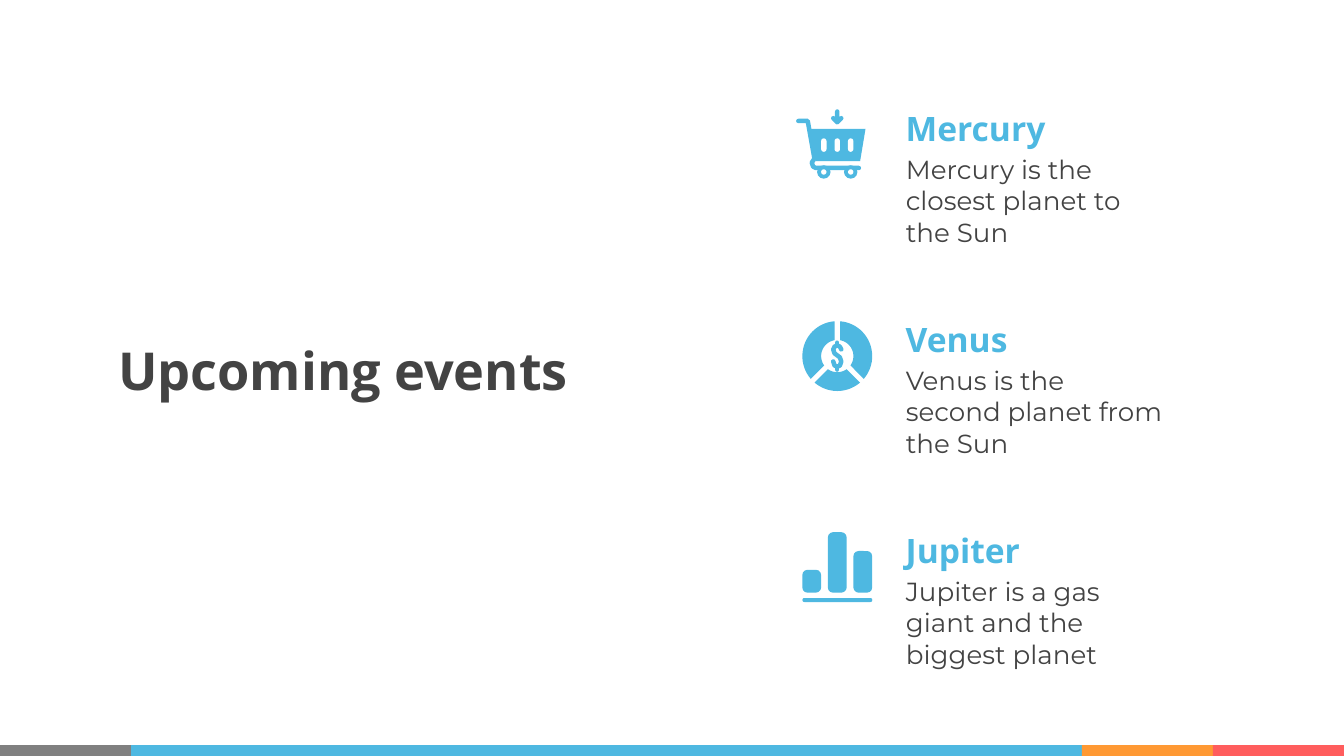
import math

import pptx
import pptx.dml.color
import pptx.enum.text
import pptx.enum.shapes
import pptx.oxml.ns
import pptx.util
from lxml import etree

INCH = pptx.util.Inches(1)
WIDTH = 10
HEIGHT = WIDTH * 9 / 16
BLUE, INK, WHITE = "4EB8E1", "434343", "FFFFFF"
SHAPE = pptx.enum.shapes.MSO_SHAPE

deck = pptx.Presentation()
deck.slide_width = int(WIDTH * INCH)
deck.slide_height = int(HEIGHT * INCH)
slide = deck.slides.add_slide(deck.slide_layouts[4])


def add_solid(kind, left, top, width, height, color, adjustment=None):
    shape = slide.shapes.add_shape(
        kind, *(int(length * INCH) for length in (left, top, width, height)))
    shape.shadow.inherit = False
    shape.fill.solid()
    shape.fill.fore_color.rgb = pptx.dml.color.RGBColor.from_string(color)
    shape.line.fill.background()
    if adjustment is not None:
        shape.adjustments[0] = adjustment


def add_outline(points, stroke=None):
    """Draw a filled polygon, or an open round-capped line when stroke is given in points."""
    corners = [(int(x * INCH), int(y * INCH)) for x, y in points]
    builder = slide.shapes.build_freeform(*corners[0])
    builder.add_line_segments(corners[1:], close=stroke is None)
    shape = builder.convert_to_shape()
    shape.shadow.inherit = False
    painted, empty = (shape.line.fill, shape.fill) if stroke else (shape.fill, shape.line.fill)
    empty.background()
    painted.solid()
    painted.fore_color.rgb = pptx.dml.color.RGBColor.from_string(BLUE)
    if stroke:
        shape.line.width = pptx.util.Pt(stroke)
        line_xml = shape.element.spPr.find(pptx.oxml.ns.qn("a:ln"))
        line_xml.set("cap", "rnd")
        etree.SubElement(line_xml, pptx.oxml.ns.qn("a:round"))


# Footer band, as shares of the slide's width
band_edges = (0, 0.0975, 0.805, 0.9025, 1)
band_colors = ("808080", BLUE, "FF9933", "FF5D5D")
for start, end, color in zip(band_edges, band_edges[1:], band_colors):
    add_solid(SHAPE.RECTANGLE, start * WIDTH, HEIGHT - 0.08,
              (end - start) * WIDTH, 0.08, color)

# Title and the three events
events = (
    ("Mercury", "Mercury is the closest planet to the Sun"),
    ("Venus", "Venus is the second planet from the Sun"),
    ("Jupiter", "Jupiter is a gas giant and the biggest planet"),
)
ROW_TOP, ROW_PITCH = 0.66, 1.57
TEXT_LEFT, TEXT_WIDTH = 6.64, 2.11
title, *bodies = slide.placeholders
spare = bodies.pop()
spare.element.getparent().remove(spare.element)

blocks = [(title, "Upcoming events", (0.78, 2.42, 4.22, 0.76), "Open Sans", 28, INK, True)]
for row, (body, (planet, description)) in enumerate(zip(bodies, events)):
    top = ROW_TOP + row * ROW_PITCH
    heading = slide.shapes.add_textbox(0, 0, INCH, INCH)
    blocks.append((heading, planet, (TEXT_LEFT, top, TEXT_WIDTH, 0.42),
                   "Open Sans", 18, BLUE, True))
    blocks.append((body, description, (TEXT_LEFT, top + 0.38, TEXT_WIDTH, 0.81),
                   "Montserrat", 14, INK, False))

for box, words, place, font_name, size, color, bold in blocks:
    box.left, box.top, box.width, box.height = (int(length * INCH) for length in place)
    frame = box.text_frame
    frame.text = words
    frame.word_wrap = True
    frame.auto_size = pptx.enum.text.MSO_AUTO_SIZE.NONE
    frame.vertical_anchor = pptx.enum.text.MSO_ANCHOR.TOP
    frame.margin_left = frame.margin_right = INCH // 10
    frame.margin_top = frame.margin_bottom = INCH // 10
    paragraph = frame.paragraphs[0]
    properties = paragraph._p.get_or_add_pPr()
    properties.set("marL", "0")
    properties.set("indent", "0")
    etree.SubElement(properties, pptx.oxml.ns.qn("a:buNone"))
    paragraph.alignment = pptx.enum.text.PP_ALIGN.LEFT
    paragraph.space_before = pptx.util.Pt(0)
    if box not in (title, *bodies):
        paragraph.line_spacing = 1.15
        paragraph.space_after = pptx.util.Pt(16)
    font = paragraph.runs[0].font
    font.name, font.size, font.bold = font_name, pptx.util.Pt(size), bold
    font.color.rgb = pptx.dml.color.RGBColor.from_string(color)

# Icons share one centre line
ICON_X = 6.23

# Shopping cart
STROKE = 2.4
add_outline([(6.2, 0.88), (ICON_X, 0.91), (ICON_X, 0.83), (ICON_X, 0.91), (6.26, 0.88)], STROKE)
add_outline([(6.03, 0.96), (6.44, 0.96), (6.4, 1.2), (6.07, 1.2)])
add_outline([(5.94, 0.9), (6.01, 0.9), (6.06, 1.18), (6.04, 1.21),
             (6.05, 1.24), (6.07, 1.25), (6.39, 1.25)], STROKE)
for slot in (-1, 0, 1):
    add_solid(SHAPE.ROUNDED_RECTANGLE, ICON_X + slot * 0.1 - 0.02, 1.03, 0.04, 0.1, WHITE, 0.5)
for side in (-1, 1):
    wheel_x = ICON_X + side * 0.1
    add_solid(SHAPE.OVAL, wheel_x - 0.05, 1.23, 0.1, 0.1, BLUE)
    add_solid(SHAPE.OVAL, wheel_x - 0.02, 1.26, 0.04, 0.04, WHITE)

# Ring in three parts around a dollar sign
RING_Y, OUTER, INNER, HALF_GAP = 2.65, 0.26, 0.12, 0.02
STEPS = 24
for start, end in ((90, 225), (225, 315), (315, 450)):
    rim = []
    for radius, order in ((OUTER, range(STEPS + 1)), (INNER, range(STEPS, -1, -1))):
        inset = math.degrees(math.asin(HALF_GAP / radius))
        for step in order:
            angle = math.radians(start + inset + (end - start - 2 * inset) * step / STEPS)
            rim.append((ICON_X + radius * math.cos(angle), RING_Y - radius * math.sin(angle)))
    add_outline(rim)
add_outline([(6.26, 2.6), (6.25, 2.58), (6.23, 2.57), (6.21, 2.58), (6.2, 2.6), (6.21, 2.63),
             (6.25, 2.66), (6.26, 2.69), (6.25, 2.72), (6.23, 2.73), (6.21, 2.72),
             (6.2, 2.69)], STROKE)
for end_y, joint_y in ((2.55, 2.57), (2.75, 2.73)):
    add_outline([(ICON_X, end_y), (ICON_X, joint_y)], STROKE)

# Bar chart icon
BAR_BASE, BAR_WIDTH = 4.41, 0.14
for column, bar_height in zip((-1, 0, 1), (0.17, 0.45, 0.31)):
    add_solid(SHAPE.ROUNDED_RECTANGLE, ICON_X + column * 0.19 - BAR_WIDTH / 2,
              BAR_BASE - bar_height, BAR_WIDTH, bar_height, BLUE, 0.28)
add_solid(SHAPE.ROUNDED_RECTANGLE, ICON_X - 0.26, 4.45, 0.52, 0.03, BLUE, 0.5)

deck.save("out.pptx")
